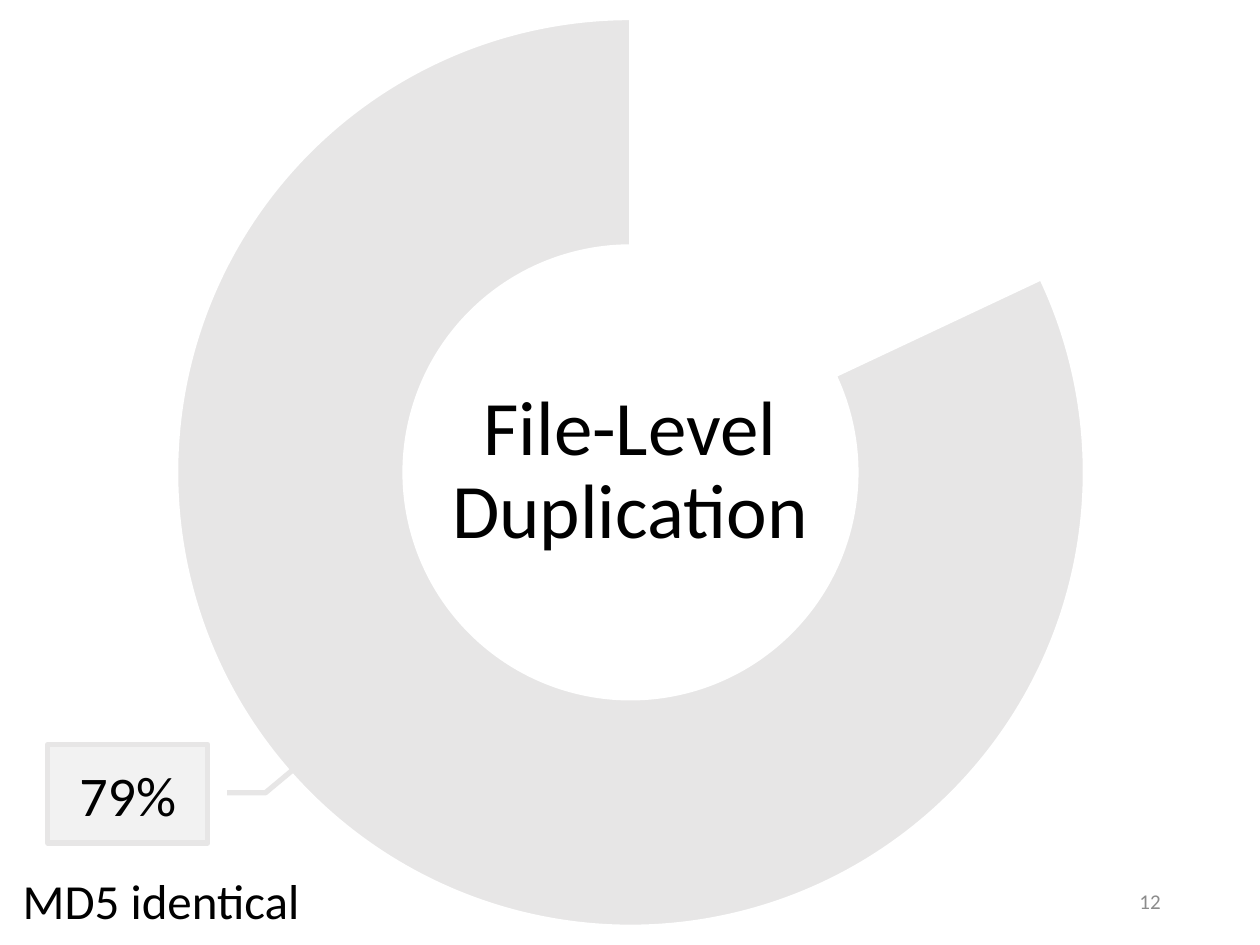
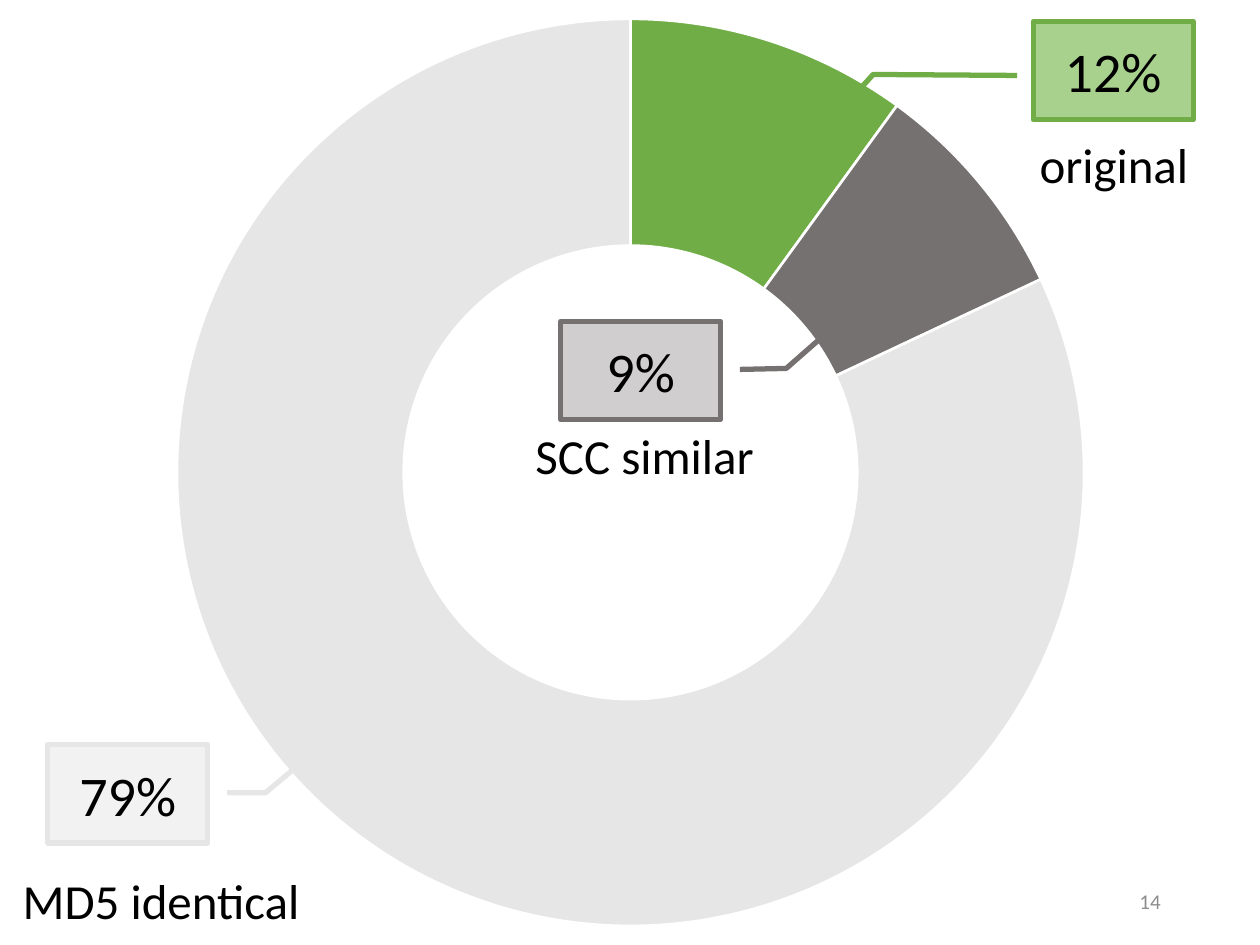
from dataclasses import dataclass

import pptx
import pptx.chart.data
import pptx.dml.color
import pptx.enum.chart
import pptx.enum.shapes
import pptx.enum.text
import pptx.oxml
import pptx.oxml.ns
import pptx.util

EMU_PER_PX = 9144  # 100 px to the inch
FONT = "Calibri"
BLACK, WHITE, NUMBER_GREY = "000000", "FFFFFF", "8C8C8C"
GREEN, DARK_GREY, LIGHT_GREY = "70AD47", "767171", "E7E6E6"
CALLOUT_WIDTH, CALLOUT_HEIGHT = 127, 78
LABEL_HEIGHT, LABEL_INDENT = 57, 19

Align = pptx.enum.text.PP_ALIGN
Anchor = pptx.enum.text.MSO_ANCHOR


@dataclass(frozen=True)
class Share:
    """One callout with its caption; pointer holds y, x pairs relative to the box."""
    percent: str
    left: int
    top: int
    fill: str
    line: str
    pointer: tuple[float, ...]
    caption: str
    caption_left: int
    caption_top: int
    caption_width: int


IDENTICAL = Share("79%", 38, 591, "F2F2F2", LIGHT_GREY,
                  (0.49, 1.12, 0.49, 1.36, 0, 1.72), "MD5 identical", -1, 686, 251)
SIMILAR = Share("9%", 445, 255, "D0CECE", DARK_GREY,
                (0.49, 1.12, 0.48, 1.41, -0.95, 2.41), "SCC similar", 406, 333, 204)
ORIGINAL = Share("12%", 820, 17, "A9D18E", GREEN,
                 (0.55, -0.1, 0.54, -1, 1.1, -1.31), "original", 806, 102, 148)


def px(length: int) -> pptx.util.Emu:
    return pptx.util.Emu(length * EMU_PER_PX)


def color(value: str) -> pptx.dml.color.RGBColor:
    return pptx.dml.color.RGBColor.from_string(value)


def write(frame, text: str, size: int, align, text_color: str = BLACK):
    frame.text = text
    para = frame.paragraphs[0]
    para.alignment = align
    para.font.name = FONT
    para.font.size = pptx.util.Pt(size)
    para.font.color.rgb = color(text_color)
    return para


def add_title(page, text: str) -> None:
    title = page.shapes.title
    title.left, title.top, title.width, title.height = px(0), px(302), px(1000), px(145)
    title.text_frame.vertical_anchor = Anchor.MIDDLE
    write(title.text_frame, text, 44, Align.CENTER).line_spacing = 0.9


def add_page_number(page, number: int) -> None:
    box = page.shapes.add_textbox(px(706), px(695), px(225), px(40))
    box.text_frame.word_wrap = True
    box.text_frame.vertical_anchor = Anchor.MIDDLE
    write(box.text_frame, str(number), 12, Align.RIGHT, NUMBER_GREY)


def add_ring(page, ring_colors: tuple[str, ...]) -> None:
    data = pptx.chart.data.CategoryChartData()
    data.categories = ["1", "2", "3"]
    data.add_series("Series 1", (10, 8, 82))
    chart = page.shapes.add_chart(pptx.enum.chart.XL_CHART_TYPE.DOUGHNUT,
                                  px(98), px(0), px(805), px(750), data).chart
    chart.has_legend = False
    chart.has_title = False
    chart.font.name = FONT
    chart.font.size = pptx.util.Pt(10)
    chart.font.color.rgb = color(BLACK)
    plot = chart.plots[0]
    plot.vary_by_categories = True
    for index, ring_color in enumerate(ring_colors):
        point = plot.series[0].points[index].format
        point.fill.solid()
        point.fill.fore_color.rgb = color(ring_color)
        point.line.color.rgb = color(WHITE)
        point.line.width = pptx.util.Pt(1.5)

    # Hole size, plot area and clear background
    qn = pptx.oxml.ns.qn
    names = pptx.oxml.ns.nsdecls("c", "a")
    root = chart.element
    next(root.iter(qn("c:holeSize"))).set("val", "75")
    area = next(root.iter(qn("c:plotArea")))
    for layout in area.findall(qn("c:layout")):
        area.remove(layout)
    places = "".join(f'<c:{tag} val="{value}"/>' for tag, value in (
        ("layoutTarget", "inner"), ("xMode", "edge"), ("yMode", "edge"),
        ("x", 0.05), ("y", 0.02), ("w", 0.9), ("h", 0.96)))
    area.insert(0, pptx.oxml.parse_xml(
        f"<c:layout {names}><c:manualLayout>{places}</c:manualLayout></c:layout>"))
    root.find(qn("c:chart")).addnext(pptx.oxml.parse_xml(
        f"<c:spPr {names}><a:noFill/><a:ln><a:noFill/></a:ln></c:spPr>"))


def add_share(page, share: Share) -> None:
    # Callout
    callout = page.shapes.add_shape(
        pptx.enum.shapes.MSO_SHAPE.LINE_CALLOUT_2, px(share.left), px(share.top),
        px(CALLOUT_WIDTH), px(CALLOUT_HEIGHT))
    for index, value in enumerate(share.pointer):
        callout.adjustments[index] = value
    callout.shadow.inherit = False
    callout.fill.solid()
    callout.fill.fore_color.rgb = color(share.fill)
    callout.line.color.rgb = color(share.line)
    callout.line.width = pptx.util.Pt(3)
    callout.text_frame.vertical_anchor = Anchor.MIDDLE
    write(callout.text_frame, share.percent, 32, Align.CENTER)

    # Caption
    box = page.shapes.add_textbox(px(share.caption_left), px(share.caption_top),
                                  px(share.caption_width), px(LABEL_HEIGHT))
    frame = box.text_frame
    frame.word_wrap = False
    frame.auto_size = pptx.enum.text.MSO_AUTO_SIZE.SHAPE_TO_FIT_TEXT
    frame.margin_left = px(LABEL_INDENT)
    write(frame, share.caption, 28, Align.LEFT)


def main() -> None:
    deck = pptx.Presentation()
    deck.slide_width, deck.slide_height = px(1000), px(750)
    title_only, blank = deck.slide_layouts[5], deck.slide_layouts[6]

    # Identical files only
    page = deck.slides.add_slide(title_only)
    add_title(page, "File-Level\vDuplication")
    add_page_number(page, 12)
    add_ring(page, (WHITE, WHITE, LIGHT_GREY))
    add_share(page, IDENTICAL)

    # All three shares
    page = deck.slides.add_slide(blank)
    add_page_number(page, 14)
    add_ring(page, (GREEN, DARK_GREY, LIGHT_GREY))
    for share in (IDENTICAL, SIMILAR, ORIGINAL):
        add_share(page, share)

    deck.save("out.pptx")


if __name__ == "__main__":
    main()
